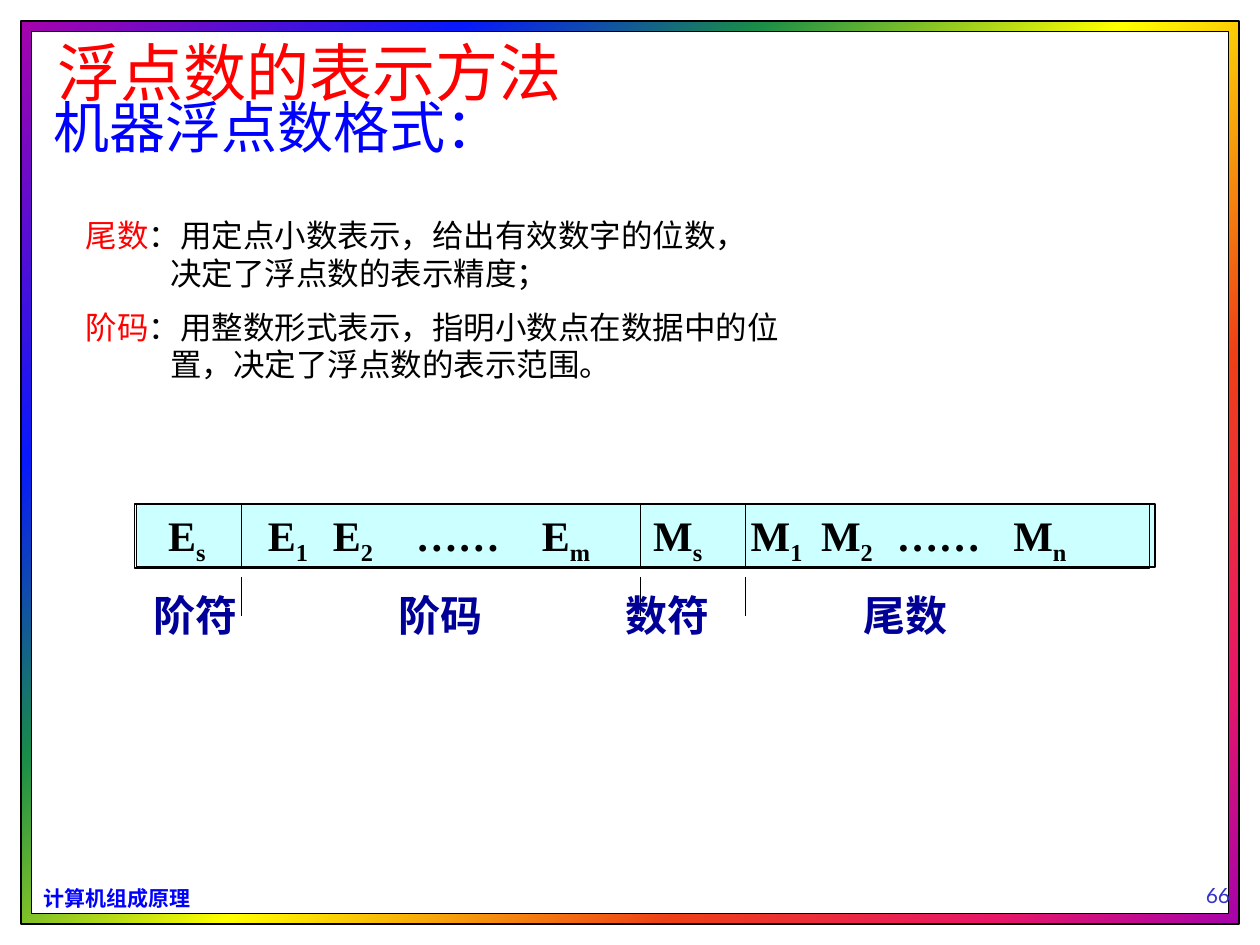
from dataclasses import dataclass

from lxml import etree
from pptx import Presentation
from pptx.dml.color import RGBColor
from pptx.enum.shapes import MSO_CONNECTOR, MSO_SHAPE
from pptx.enum.text import MSO_ANCHOR, MSO_AUTO_SIZE, PP_ALIGN
from pptx.oxml.ns import qn
from pptx.util import Inches, Pt

RECTANGLE = MSO_SHAPE.RECTANGLE
STRAIGHT = MSO_CONNECTOR.STRAIGHT
TOP, MIDDLE, BOTTOM = MSO_ANCHOR.TOP, MSO_ANCHOR.MIDDLE, MSO_ANCHOR.BOTTOM
LEFT, CENTER = PP_ALIGN.LEFT, PP_ALIGN.CENTER
COLUMNS, ROWS = 120, 90


@dataclass(frozen=True)
class Theme:
    serif: str = "Times New Roman"
    sans: str = "Noto Sans CJK SC"
    number_font: str = "Lato"
    title_size: int = 36
    subtitle_size: int = 32
    field_size: int = 24
    body_size: int = 18
    footer_size: int = 12
    black: str = "000000"
    white: str = "FFFFFF"
    red: str = "FF0000"
    blue: str = "0000FF"
    navy: str = "000099"
    number: str = "3333CC"
    register: str = "CCFFFF"
    rainbow: tuple = ((0, "A603AB"), (21, "0819FB"), (35, "1A8D48"), (52, "FFFF00"),
                      (73, "EE3F17"), (88, "E81766"), (100, "A603AB"))


class SlideBuilder:
    """Draws on one slide; boxes are (column, row, columns, rows)."""

    def __init__(self, presentation, theme):
        self.theme = theme
        self.cell_width = presentation.slide_width / COLUMNS
        self.cell_height = presentation.slide_height / ROWS
        self.slide = presentation.slides.add_slide(presentation.slide_layouts[1])

    def place(self, box):
        column, row, width, height = box
        return (round(column * self.cell_width), round(row * self.cell_height),
                round(width * self.cell_width), round(height * self.cell_height))

    def rectangle(self, box, color=None):
        shape = self.slide.shapes.add_shape(RECTANGLE, *self.place(box))
        shape.shadow.inherit = False
        if color:
            shape.fill.solid()
            shape.fill.fore_color.rgb = RGBColor.from_string(color)
        else:
            shape.fill.background()
        shape.line.color.rgb = RGBColor.from_string(self.theme.black)
        shape.line.width = Pt(0.75)
        return shape

    def rainbow_rectangle(self, box):
        shape = self.rectangle(box, self.theme.white)
        solid = shape._element.spPr.find(qn("a:solidFill"))
        gradient = etree.Element(qn("a:gradFill"), rotWithShape="1")
        stops = etree.SubElement(gradient, qn("a:gsLst"))
        for percent, color in self.theme.rainbow:
            stop = etree.SubElement(stops, qn("a:gs"), pos=str(percent * 1000))
            etree.SubElement(stop, qn("a:srgbClr"), val=color)
        etree.SubElement(gradient, qn("a:lin"), ang=str(45 * 60000), scaled="0")
        solid.getparent().replace(solid, gradient)

    def vertical_line(self, column, top, bottom):
        x, start, _, length = self.place((column, top, 0, bottom - top))
        line = self.slide.shapes.add_connector(STRAIGHT, x, start, x, start + length)
        line.line.color.rgb = RGBColor.from_string(self.theme.black)
        line.line.width = Pt(0.75)
        etree.SubElement(line._element.spPr, qn("a:effectLst"))

    def placeholder(self, index, box):
        """Bring a template placeholder to the front and give it a box."""
        shape = self.slide.placeholders[index]
        shape.left, shape.top, shape.width, shape.height = self.place(box)
        self.slide.shapes._spTree.append(shape._element)
        return shape

    def text_box(self, box):
        return self.slide.shapes.add_textbox(*self.place(box))

    def frame(self, shape, anchor=TOP, wrap=True, left=0.1, top=0.05, bottom=0.05):
        text_frame = shape.text_frame
        text_frame.auto_size = MSO_AUTO_SIZE.NONE
        text_frame.word_wrap = wrap
        text_frame.vertical_anchor = anchor
        text_frame.margin_left = Inches(left)
        text_frame.margin_top, text_frame.margin_bottom = Inches(top), Inches(bottom)
        return text_frame

    def paragraph(self, text_frame, runs, size, font, bold=False, align=LEFT,
                  margin=0, indent=0, before=0, spacing=1.0):
        """Write runs of (text, color, is_subscript); margins are in inches."""
        first = text_frame.paragraphs[0]
        paragraph = text_frame.add_paragraph() if first.runs else first
        properties = paragraph._p.get_or_add_pPr()
        properties.set("marL", str(Inches(margin)))
        properties.set("indent", str(Inches(indent)))
        etree.SubElement(properties, qn("a:buNone"))
        paragraph.alignment = align
        paragraph.line_spacing = spacing
        paragraph.space_before = Pt(before)
        for text, color, is_subscript in runs:
            run = paragraph.add_run()
            run.text = text
            run.font.size, run.font.name, run.font.bold = Pt(size), font, bold
            run.font.color.rgb = RGBColor.from_string(color)
            if is_subscript:
                run._r.get_or_add_rPr().set("baseline", "-25000")

    def field_text(self, column, row, runs):
        """Bold register text whose first letter starts at the column."""
        text_frame = self.frame(self.text_box((column, row, 10, 6)), left=0, top=0.04)
        self.paragraph(text_frame, runs, self.theme.field_size, self.theme.serif, bold=True)


def draw_background(builder):
    theme = builder.theme
    builder.rainbow_rectangle((2, 2, 116, 86))
    builder.rectangle((3, 3, 114, 84), theme.white)
    footer = builder.frame(builder.text_box((3, 83.7, 16.4, 3.6)), wrap=False)
    builder.paragraph(footer, [("计算机组成原理", theme.blue, False)],
                      theme.footer_size, theme.sans, bold=True)
    number = builder.frame(builder.text_box((105, 81, 22, 6)), BOTTOM)
    builder.paragraph(number, [("66", theme.number, False)],
                      theme.footer_size, theme.number_font, align=CENTER)


def draw_text(builder):
    theme = builder.theme
    body = builder.frame(builder.placeholder(1, (4.2, 20, 103.8, 22.6)))
    definitions = (
        ("尾数", "：用定点小数表示，给出有效数字的位数，", "决定了浮点数的表示精度；"),
        ("阶码", "：用整数形式表示，指明小数点在数据中的位", "置，决定了浮点数的表示范围。"),
    )
    for index, (term, opening, ending) in enumerate(definitions):
        builder.paragraph(body, [(term, theme.red, False), (opening, theme.black, False)],
                          theme.body_size, theme.serif, margin=0.9, indent=-0.67,
                          before=9 * index)
        builder.paragraph(body, [(ending, theme.black, False)],
                          theme.body_size, theme.serif, margin=0.9)

    subtitle = builder.frame(builder.text_box((3.9, 8.2, 45.2, 7.6)), wrap=False)
    builder.paragraph(subtitle, [("机器浮点数格式：", theme.blue, False)],
                      theme.subtitle_size, theme.serif)
    title = builder.frame(builder.placeholder(0, (3, 4, 74.2, 6.5)), MIDDLE,
                          left=0.21, top=0, bottom=0)
    builder.paragraph(title, [("浮点数的表示方法", theme.red, False)],
                      theme.title_size, theme.sans, spacing=0.9)


def draw_register(builder):
    theme = builder.theme
    builder.rectangle((13, 48, 97, 6), theme.register)
    builder.rectangle((12.8, 48, 96.7, 6.1))
    for column in (23, 61, 71):
        builder.vertical_line(column, 48, 54)
        builder.vertical_line(column, 55, 58.7)

    labels = ((14.6, "阶符"), (38, "阶码"), (59.6, "数符"), (82.2, "尾数"))
    for column, label in labels:
        builder.field_text(column, 55.7, [(label, theme.navy, False)])

    symbols = ((16, "E", "s"), (25.5, "E", "1"), (31.7, "E", "2"), (39.6, "……", ""),
               (51.6, "E", "m"), (62.2, "M", "s"), (71.5, "M", "1"), (78.2, "M", "2"),
               (85.4, "……", ""), (96.5, "M", "n"))
    for column, symbol, subscript in symbols:
        runs = [(symbol, theme.black, False)]
        if subscript:
            runs.append((subscript, theme.black, True))
        builder.field_text(column, 48, runs)


def main():
    presentation = Presentation()
    presentation.slide_width, presentation.slide_height = Inches(10), Inches(7.5)
    builder = SlideBuilder(presentation, Theme())
    draw_background(builder)
    draw_text(builder)
    draw_register(builder)
    presentation.save("out.pptx")


if __name__ == "__main__":
    main()
